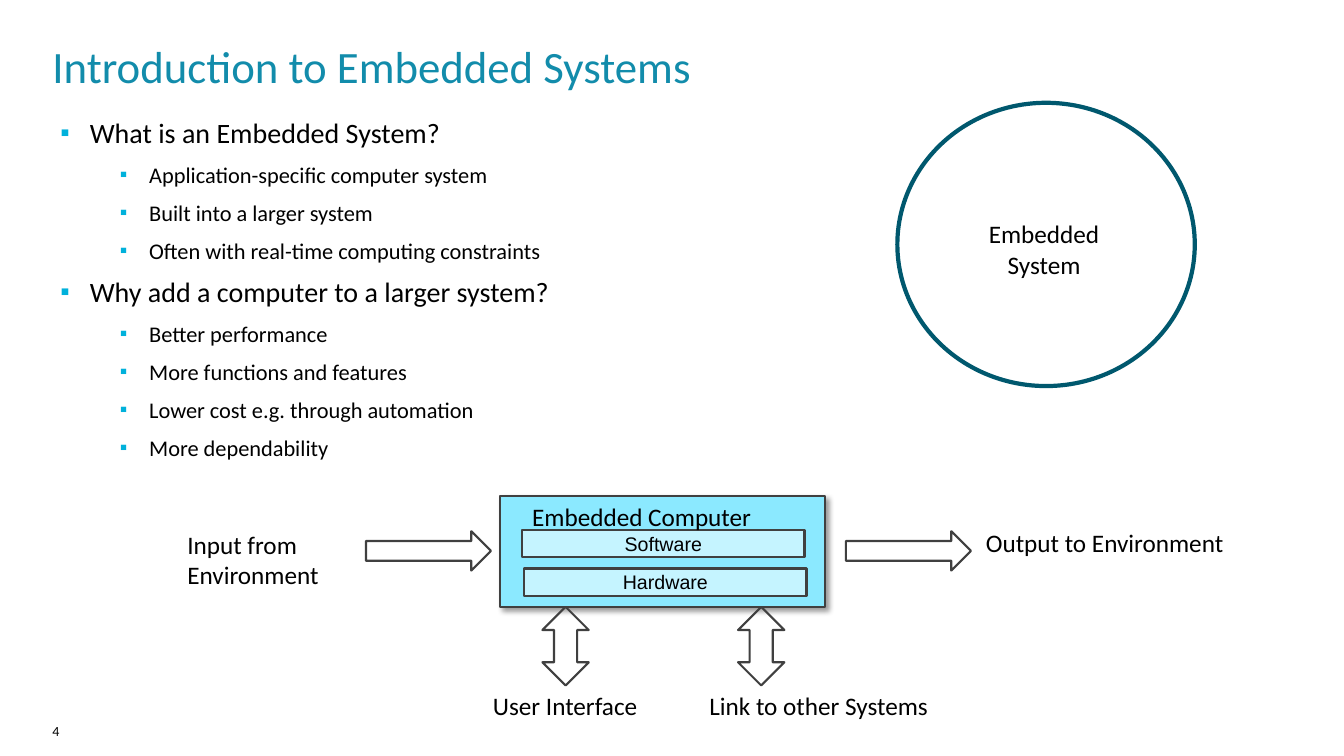
import pptx
import pptx.util
import pptx.dml.color
import pptx.enum.shapes
import pptx.enum.text
import pptx.oxml
import pptx.oxml.ns
from dataclasses import dataclass

Inches, Pt = pptx.util.Inches, pptx.util.Pt
RGB = pptx.dml.color.RGBColor.from_string
Shape = pptx.enum.shapes.MSO_SHAPE
Align = pptx.enum.text.PP_ALIGN
Anchor = pptx.enum.text.MSO_ANCHOR
NS = pptx.oxml.ns.nsdecls("a")


@dataclass
class Theme:
    font: str = "Calibri"
    layer_font: str = "Arial"
    text: str = "000000"
    title: str = "128CAB"
    bullet: str = "00B1DB"
    outline: str = "404040"
    ring: str = "00586E"
    computer: str = "8BE9FF"
    layer: str = "C5F4FF"
    title_size: int = 32
    topic_size: int = 20
    label_size: int = 18
    point_size: int = 16
    layer_size: int = 14
    number_size: int = 10


theme = Theme()


def write(frame, text, size, font=theme.font, color=theme.text, align=Align.LEFT):
    frame.text = text
    frame.word_wrap = True
    for para in frame.paragraphs:
        para.alignment = align
        for span in para.runs:
            span.font.size = Pt(size)
            span.font.name = font
            span.font.color.rgb = RGB(color)


def draw(kind, left, top, width, height, fill=None, line=theme.outline, weight=1.5):
    shape = page.shapes.add_shape(
        kind, Inches(left), Inches(top), Inches(width), Inches(height))
    shape.shadow.inherit = False
    if fill:
        shape.fill.solid()
        shape.fill.fore_color.rgb = RGB(fill)
    else:
        shape.fill.background()
    shape.line.color.rgb = RGB(line)
    shape.line.width = Pt(weight)
    return shape


deck = pptx.Presentation()
deck.slide_width, deck.slide_height = Inches(13.33), Inches(7.5)
page = deck.slides.add_slide(deck.slide_layouts[5])

# Title
title = page.shapes.title
title.left, title.top = Inches(0.52), Inches(0.37)
title.width, title.height = Inches(12.2), Inches(0.63)
frame = title.text_frame
write(frame, "Introduction to Embedded Systems", theme.title_size, color=theme.title)
frame.margin_left = frame.margin_right = frame.margin_top = frame.margin_bottom = 0
frame.vertical_anchor = Anchor.MIDDLE
frame.paragraphs[0].line_spacing = 0.9

# Bulleted questions and answers
outline = [
    (0, "What is an Embedded System?"),
    (1, "Application-specific computer system"),
    (1, "Built into a larger system"),
    (1, "Often with real-time computing constraints"),
    (0, "Why add a computer to a larger system?"),
    (1, "Better performance"),
    (1, "More functions and features"),
    (1, "Lower cost e.g. through automation"),
    (1, "More dependability"),
]
box = page.shapes.add_textbox(Inches(0.6), Inches(1.15), Inches(7.58), Inches(3.47))
frame = box.text_frame
write(frame, "\n".join(text for level, text in outline), theme.point_size)
frame.margin_left = frame.margin_right = frame.margin_top = frame.margin_bottom = 0
for index, (para, (level, text)) in enumerate(zip(frame.paragraphs, outline)):
    para.level = level
    para.space_before = Pt(8 if index else 0)
    if level == 0:
        para.runs[0].font.size = Pt(theme.topic_size)
    props = para._p.get_or_add_pPr()
    props.set("marL", str(Inches(0.88 if level else 0.29)))
    props.set("indent", str(Inches(-0.29)))
    for bullet in (
        f'<a:buClr {NS}><a:srgbClr val="{theme.bullet}"/></a:buClr>',
        f'<a:buSzPct {NS} val="95000"/>',
        f'<a:buFont {NS} typeface="{theme.layer_font}"/>',
        f'<a:buChar {NS} char="▪"/>',
    ):
        props.append(pptx.oxml.parse_xml(bullet))

# Embedded computer with its drop shadow
computer = draw(Shape.RECTANGLE, 4.96, 4.92, 3.22, 1.1, theme.computer)
effects = computer._element.spPr.find(pptx.oxml.ns.qn("a:effectLst"))
effects.append(pptx.oxml.parse_xml(
    f'<a:outerShdw {NS} blurRad="{Pt(4)}" dist="{Pt(3)}" dir="2700000" algn="tl" '
    'rotWithShape="0"><a:srgbClr val="000000"><a:alpha val="40000"/></a:srgbClr>'
    '</a:outerShdw>'))

# Software and hardware inside the computer
for name, left, top in (("Software", 5.18, 5.26), ("Hardware", 5.2, 5.64)):
    layer = draw(Shape.RECTANGLE, left, top, 2.8, 0.27, theme.layer)
    write(layer.text_frame, name, theme.layer_size, theme.layer_font, align=Align.CENTER)
    layer.text_frame.word_wrap = False
    layer.text_frame.vertical_anchor = Anchor.MIDDLE

# Block arrows around the computer
for left in (3.63, 8.39):
    draw(Shape.RIGHT_ARROW, left, 5.27, 1.24, 0.39)
for left in (5.38, 7.32):
    draw(Shape.UP_DOWN_ARROW, left, 6.02, 0.46, 0.78)

# Embedded system ring
draw(Shape.OVAL, 8.9, 1.02, 2.95, 2.81, line=theme.ring, weight=3)

# Diagram labels
for text, left, top, width, height, align in (
    ("Embedded Computer", 5.18, 4.92, 2.8, 0.34, Align.LEFT),
    ("Input from\nEnvironment", 1.76, 5.2, 2.03, 0.57, Align.LEFT),
    ("Output to Environment", 9.68, 5.18, 2.78, 0.34, Align.LEFT),
    ("User Interface", 4.48, 6.8, 2.25, 0.34, Align.CENTER),
    ("Link to other Systems", 6.72, 6.8, 2.8, 0.34, Align.CENTER),
    ("Embedded\nSystem", 9.58, 2.12, 1.55, 0.57, Align.CENTER),
):
    label = page.shapes.add_textbox(
        Inches(left), Inches(top), Inches(width), Inches(height))
    write(label.text_frame, text, theme.label_size, align=align)

# Slide number
number = page.shapes.add_textbox(Inches(0.52), Inches(7.17), Inches(1.42), Inches(0.26))
write(number.text_frame, "4", theme.number_size)
number.text_frame.margin_left = number.text_frame.margin_top = 0
number.text_frame.margin_bottom = 0

deck.save("out.pptx")
